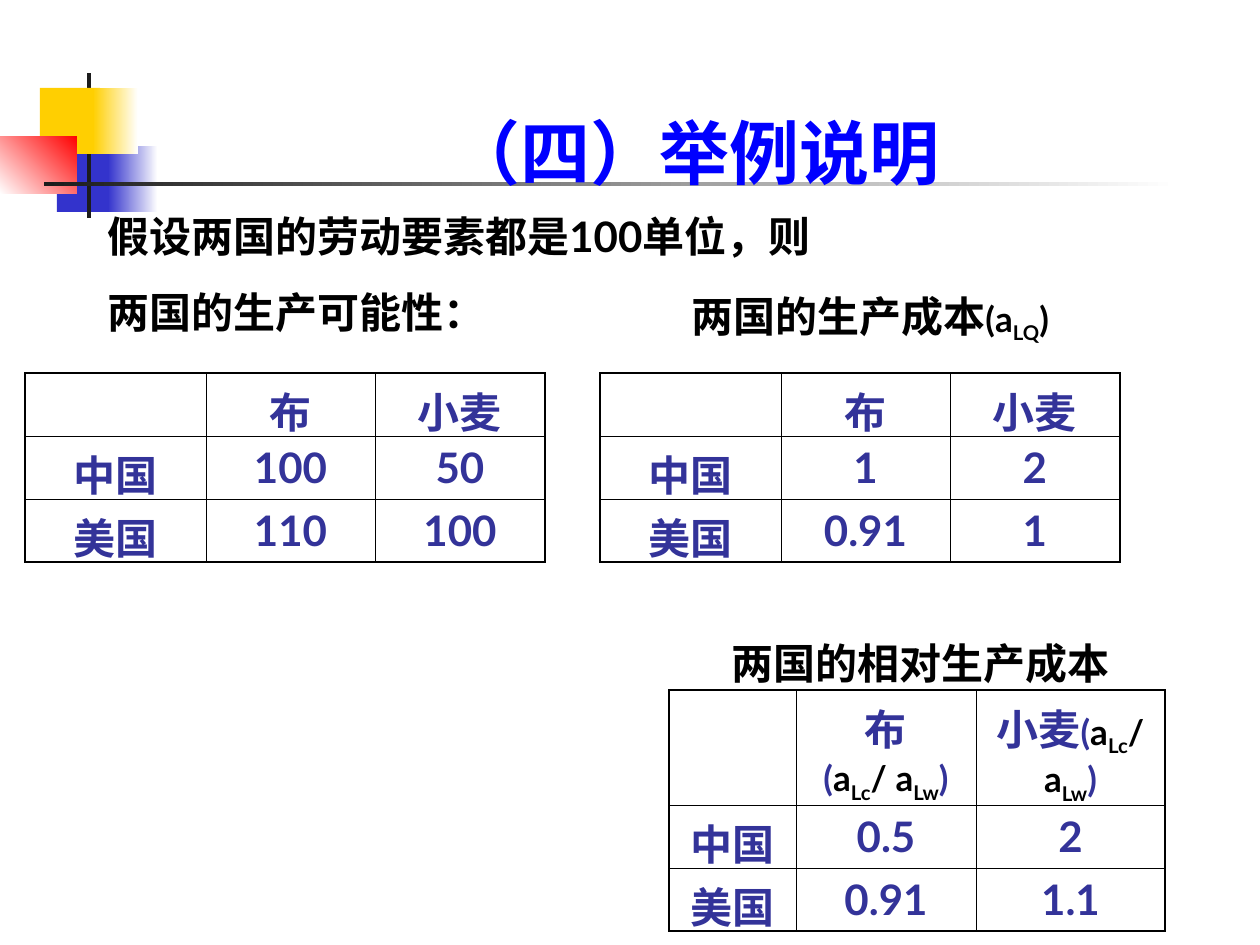
from lxml import etree
from pptx import Presentation
from pptx import util as u
from pptx.dml.color import RGBColor
from pptx.enum import shapes, text
from pptx.oxml import ns

BLACK = RGBColor(0x00, 0x00, 0x00)
WHITE = RGBColor(0xFF, 0xFF, 0xFF)
INK = RGBColor(0x1C, 0x1C, 0x1C)
BLUE = RGBColor(0x33, 0x33, 0xCC)
YELLOW = RGBColor(0xFF, 0xCF, 0x01)
RED = RGBColor(0xFF, 0x00, 0x00)
TITLE_BLUE = RGBColor(0x00, 0x00, 0xFF)
INDIGO = RGBColor(0x33, 0x33, 0x99)

FONT = "Lato"
PX_PER_INCH = 126
OUTER, INNER = 1.08, 0.45


def px(*lengths):
    return [round(length * 914400 / PX_PER_INCH) for length in lengths]


class SlideBuilder:
    def __init__(self, deck):
        self.slide = deck.slides.add_slide(deck.slide_layouts[6])

    def block(self, place, start, end=None, angle=180):
        shape = self.slide.shapes.add_shape(shapes.MSO_SHAPE.RECTANGLE, *px(*place))
        shape.shadow.inherit = False
        shape.line.fill.background()
        if end is None:
            shape.fill.solid()
            shape.fill.fore_color.rgb = start
            return
        shape.fill.gradient()
        shape.fill.gradient_angle = angle
        for stop, color in zip(shape.fill.gradient_stops, (start, end)):
            stop.color.rgb = color

    def style(self, span, color, size=24, baseline=0):
        span.font.name = FONT
        span.font.size = u.Pt(size)
        span.font.bold = True
        span.font.color.rgb = color
        if baseline:
            span.font._element.set("baseline", str(baseline * 1000))

    def east_asian(self, span):
        etree.SubElement(span.font._element, ns.qn("a:ea"), typeface=FONT)

    def add_spans(self, para, spans):
        for words, *look in spans:
            span = para.add_run()
            span.text = words
            self.style(span, *look)

    def label(self, place, lines, color=BLACK, size=24, title=False, tail=()):
        box = self.slide.shapes.add_textbox(*px(*place))
        frame = box.text_frame
        frame.word_wrap = True
        if title:
            frame.vertical_anchor = text.MSO_ANCHOR.BOTTOM
        frame.text = "\n".join(lines)
        for index, para in enumerate(frame.paragraphs):
            if index:
                para.space_before = u.Pt(15)
            if title:
                para.alignment = text.PP_ALIGN.CENTER
            for span in para.runs:
                self.style(span, color, size)
        self.add_spans(frame.paragraphs[-1], tail)
        for para in frame.paragraphs:
            for span in para.runs:
                self.east_asian(span)

    def borders(self, cell, widths):
        properties = cell._tc.get_or_add_tcPr()
        for side, width in zip("LRTB", widths):
            line = etree.SubElement(properties, ns.qn(f"a:ln{side}"), w=str(u.Pt(width)))
            fill = etree.SubElement(line, ns.qn("a:solidFill"))
            etree.SubElement(fill, ns.qn("a:srgbClr"), val=str(BLACK))

    def table(self, left, top, widths, heights, rows, frame_height, units=()):
        last_row, last_column = len(rows) - 1, len(widths) - 1
        place = px(left, top, sum(widths), frame_height)
        holder = self.slide.shapes.add_table(len(rows), len(widths), *place)
        table = holder.table
        table.first_row = table.horz_banding = False
        for column, width in zip(table.columns, px(*widths)):
            column.width = width
        for row, height in zip(table.rows, px(*heights)):
            row.height = height
        holder.height = place[3]
        for r, row in enumerate(rows):
            for c, words in enumerate(row):
                cell = table.cell(r, c)
                edges = (c == 0, c == last_column, r == 0, r == last_row)
                self.borders(cell, [OUTER if edge else INNER for edge in edges])
                cell.fill.background()
                cell.vertical_anchor = text.MSO_ANCHOR.MIDDLE
                if not words:
                    continue
                cell.text_frame.text = words
                para = cell.text_frame.paragraphs[0]
                para.alignment = text.PP_ALIGN.CENTER
                for span in para.runs:
                    self.style(span, INDIGO)
                if r == 0:
                    self.add_spans(para, units)


def main():
    deck = Presentation()
    deck.slide_width, deck.slide_height = px(1260, 945)
    page = SlideBuilder(deck)

    page.block((57, 146, 58, 66), BLUE)
    page.block((108, 146, 50, 66), WHITE, BLUE)
    page.block((87, 73, 4, 145), INK)
    page.block((40, 88, 60, 66), YELLOW)
    page.block((93, 88, 45, 66), WHITE, YELLOW)
    page.block((0, 136, 77, 58), RED, WHITE, angle=225)
    page.block((44, 182, 1134, 4), WHITE, INK)
    page.label((158, 42, 1074, 158), ["（四）举例说明"], TITLE_BLUE, 40, title=True)

    header = ["", "布", "小麦"]
    output = [header, ["中国", "100", "50"], ["美国", "110", "100"]]
    cost = [header, ["中国", "1", "2"], ["美国", "0.91", "1"]]
    for left, rows in ((25, output), (600, cost)):
        page.table(left, 373, [181, 169, 170], [63] * 3, rows, 188)

    page.label((95, 204, 796, 140), ["假设两国的劳动要素都是100单位，则", "两国的生产可能性："])
    page.label((679, 284, 462, 68), ["两国的生产成本"],
               tail=[("(a", BLACK, 20), ("LQ", BLACK, 20, -25), (")", BLACK, 20)])

    ratio = [("(", INDIGO, 20), ("a", BLACK, 20), ("Lc", BLACK, 20, -25),
             ("/ a", BLACK, 20), ("Lw", BLACK, 20, -25), (")", INDIGO, 20)]
    relative = [["", "布\v", "小麦"], ["中国", "0.5", "2"], ["美国", "0.91", "1.1"]]
    page.table(669, 690, [127, 180, 189], [111, 63, 63], relative, 231, ratio)
    page.label((719, 631, 462, 63), ["两国的相对生产成本"])

    deck.save("out.pptx")


if __name__ == "__main__":
    main()
